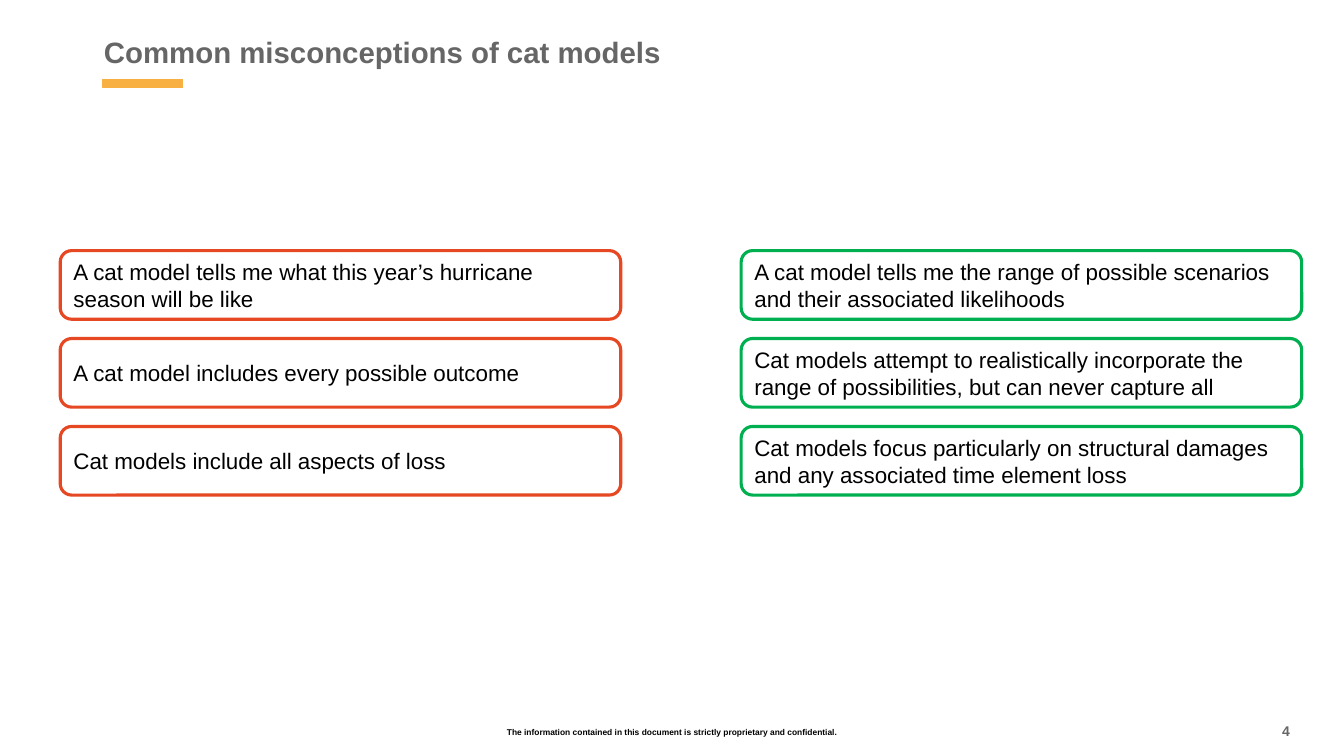
from pptx import Presentation
from pptx import util as u
from pptx.dml.color import RGBColor
from pptx.enum import shapes, text

Pt = u.Pt
GREY, ORANGE, RED, GREEN = "666666", "F7B041", "E64823", "00B050"
MYTHS = [
    "A cat model tells me what this year’s hurricane season will be like",
    "A cat model includes every possible outcome",
    "Cat models include all aspects of loss",
]
FACTS = [
    "A cat model tells me the range of possible scenarios and their associated likelihoods",
    "Cat models attempt to realistically incorporate the range of possibilities, but can never capture all",
    "Cat models focus particularly on structural damages and any associated time element loss",
]


def colour(value):
    return RGBColor.from_string(value)


def write(frame, words, size, shade="000000", bold=False,
          align=text.PP_ALIGN.LEFT, anchor=text.MSO_ANCHOR.MIDDLE):
    frame.word_wrap = True
    frame.vertical_anchor = anchor
    para = frame.paragraphs[0]
    para.text = words
    para.alignment = align
    font = para.font
    font.name, font.size, font.bold = "Arial", Pt(size), bold
    font.color.rgb = colour(shade)


def add_panel(page, kind, left, top, width, height, fill, line, weight):
    panel = page.shapes.add_shape(kind, Pt(left), Pt(top), Pt(width), Pt(height))
    panel.shadow.inherit = False
    panel.fill.solid()
    panel.fill.fore_color.rgb = colour(fill)
    panel.line.color.rgb = colour(line)
    panel.line.width = Pt(weight)
    return panel


def add_heading(page, left, top, width, height):
    title = page.shapes.title
    title.left, title.top, title.width, title.height = map(Pt, (left, top, width, height))
    write(title.text_frame, "Common misconceptions of cat models", 21, GREY, True)
    add_panel(page, shapes.MSO_SHAPE.RECTANGLE, left + 6.5, top + height + 3.5,
              57, 6, ORANGE, ORANGE, 1)


def add_column(page, statements, outline, left, top, width, height, pitch):
    for row, statement in enumerate(statements):
        card = add_panel(page, shapes.MSO_SHAPE.ROUNDED_RECTANGLE, left, top + row * pitch,
                         width, height, "FFFFFF", outline, 2.25)
        write(card.text_frame, statement, 16)


def add_footer(page, left, top, width, height):
    notice = page.shapes.add_textbox(Pt(left), Pt(top), Pt(width), Pt(height))
    write(notice.text_frame,
          "The information contained in this document is strictly proprietary and confidential.",
          6, bold=True, align=text.PP_ALIGN.CENTER, anchor=text.MSO_ANCHOR.TOP)
    number = page.shapes.add_textbox(Pt(left + 554.5), Pt(top - 3), Pt(51), Pt(18))
    write(number.text_frame, "4", 10, GREY, True, anchor=text.MSO_ANCHOR.TOP)


def main():
    deck = Presentation()
    deck.slide_width, deck.slide_height = Pt(960), Pt(540)
    page = deck.slides.add_slide(deck.slide_layouts[5])
    add_heading(page, 67, 20.2, 773, 33)
    for statements, outline, left in ((MYTHS, RED, 43), (FACTS, GREEN, 529.4)):
        add_column(page, statements, outline, left, 179, 400.4, 49, 62.8)
    add_footer(page, 354.2, 515.5, 251.5, 14.5)
    deck.save("out.pptx")


if __name__ == "__main__":
    main()
